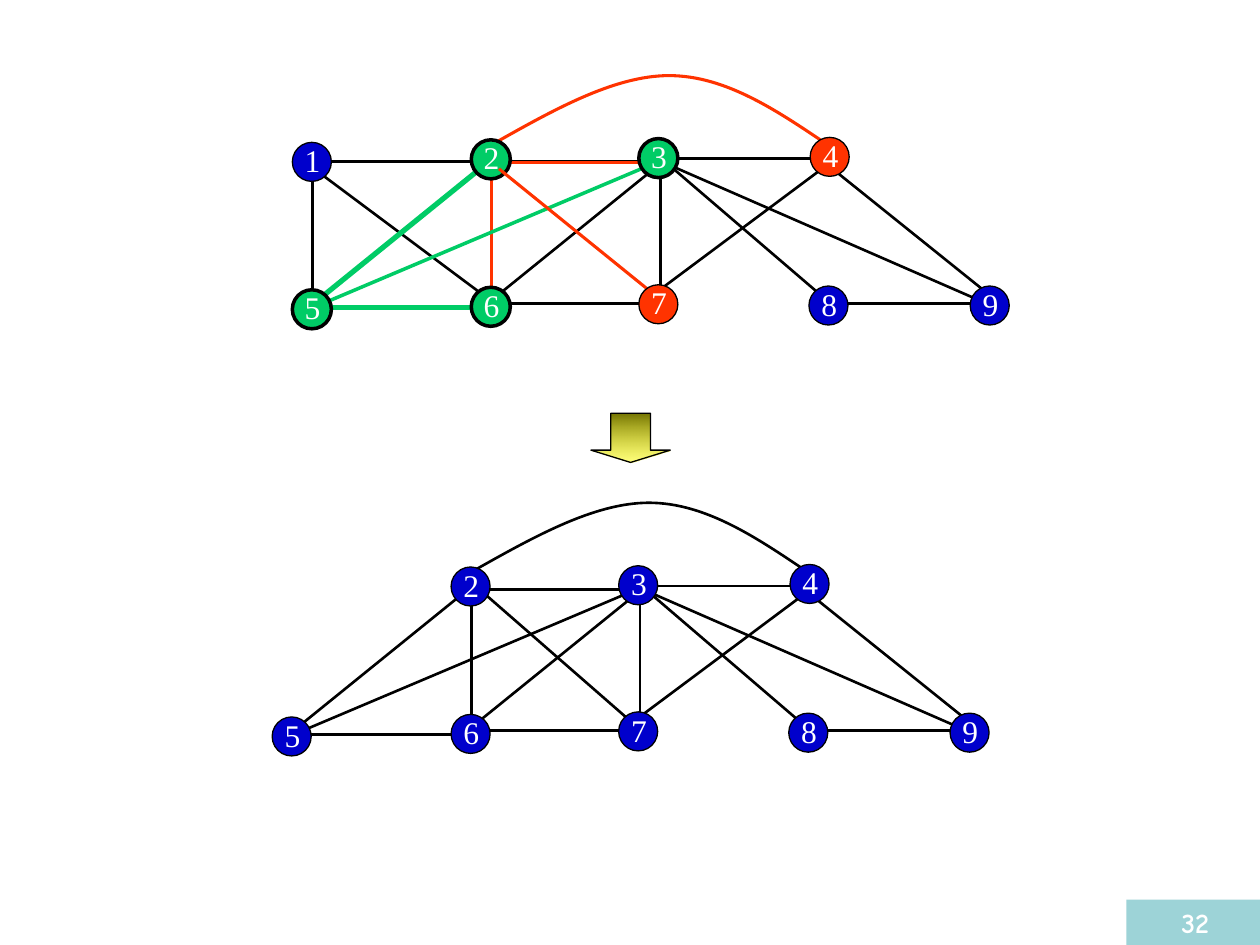
"""Draw a graph with marked nodes above the smaller graph that it leads to."""
from dataclasses import dataclass, replace

from lxml import etree
from pptx import Presentation
from pptx import util as u
from pptx.dml.color import RGBColor
from pptx.enum import shapes, text
from pptx.oxml.ns import qn

BLACK, WHITE, BLUE = "000000", "FFFFFF", "0000CC"
RED, GREEN = "FF3300", "00CC66"
SIZE = 0.31
SHIFT = (-0.16, 3.39)


@dataclass
class Node:
    name: str
    x: float
    y: float
    fill: str = BLUE
    width: float = 0.75
    label: float = 0.39


@dataclass
class Edge:
    start: tuple
    end: tuple
    hue: str = BLACK
    width: float = 1.5


SHARED_EDGES = [
    Edge((6.7, 2.41), (7.73, 2.41)),
    Edge((4, 2.41), (5.11, 2.41)),
    Edge((5.24, 1.31), (5.24, 2.33)),
    Edge((5.35, 1.26), (6.45, 1.26)),
    Edge((5.29, 1.3), (7.81, 2.4)),
    Edge((5.31, 1.31), (6.5, 2.33)),
    Edge((5.19, 1.34), (3.93, 2.36)),
    Edge((6.51, 1.35), (5.25, 2.29)),
    Edge((6.57, 1.31), (7.84, 2.33)),
    Edge((3.98, 1.29), (5.16, 1.29), RED, 1.75),
    Edge((3.9, 1.32), (3.9, 2.34), RED, 1.75),
    Edge((5.16, 1.31), (2.56, 2.41), GREEN, 2),
    Edge((3.81, 1.34), (2.55, 2.36), GREEN, 3),
    Edge((2.6, 2.44), (3.82, 2.44), GREEN, 3),
]
TOP_EDGES = [
    Edge((3.98, 1.28), (5.16, 1.28)),
    Edge((2.61, 1.28), (3.79, 1.28)),
    Edge((2.48, 1.39), (2.48, 2.33)),
    Edge((3.82, 2.33), (2.56, 1.39)),
]
TOP_LAST = Edge((3.96, 1.34), (5.22, 2.36), RED, 1.75)
LOW_FIRST = Edge((3.82, 4.69), (5, 5.72))
TOP_NODE = Node("1", 2.32, 1.13, label=SIZE)
SHARED_NODES = [
    Node("8", 6.42, 2.27),
    Node("9", 7.7, 2.27),
    Node("4", 6.43, 1.09, RED),
    Node("3", 5.07, 1.1, GREEN, 2, SIZE),
    Node("6", 3.74, 2.28, GREEN, 2),
    Node("5", 2.32, 2.3, GREEN, 2, SIZE),
    Node("2", 3.74, 1.11, GREEN, 2),
]
LAST_NODE = Node("7", 5.07, 2.26, RED, label=SIZE)
CURVE = [(3.9, 1.15), (4.38, 0.88), (4.87, 0.6), (5.31, 0.6),
         (5.76, 0.6), (6.17, 0.88), (6.57, 1.15)]


def paint(item, hue: str) -> None:
    """Give a fill, line or font color format its hex color."""
    item.rgb = RGBColor.from_string(hue)


def move(spot: tuple) -> tuple:
    """Shift a spot from the top graph to the lower one."""
    return spot[0] + SHIFT[0], spot[1] + SHIFT[1]


def write(frame, words: str, *, size: float, font: str, hue: str = WHITE,
          bold: bool = False, align=text.PP_ALIGN.LEFT) -> None:
    """Put formatted words in a text frame."""
    frame.word_wrap = True
    line = frame.paragraphs[0]
    line.alignment = align
    run = line.add_run()
    run.text = words
    run.font.size, run.font.name, run.font.bold = u.Pt(size), font, bold
    paint(run.font.color, hue)


def stroke(shape, hue: str, width: float) -> None:
    """Set the line of a shape or connector."""
    paint(shape.line.color, hue)
    shape.line.width = u.Pt(width)


def add_shape(slide, kind, left: float, top: float, wide: float, high: float):
    """Add a preset shape without a shadow."""
    shape = slide.shapes.add_shape(kind, *map(u.Inches, (left, top, wide, high)))
    shape.shadow.inherit = False
    return shape


def draw_edge(slide, edge: Edge) -> None:
    """Draw one straight edge."""
    link = slide.shapes.add_connector(
        shapes.MSO_CONNECTOR.STRAIGHT, *map(u.Inches, edge.start + edge.end))
    stroke(link, edge.hue, edge.width)
    etree.SubElement(link._element.spPr, qn("a:effectLst"))


def draw_node(slide, node: Node) -> None:
    """Draw a disc with its number on top."""
    disc = add_shape(slide, shapes.MSO_SHAPE.OVAL, node.x, node.y, SIZE, SIZE)
    disc.fill.solid()
    paint(disc.fill.fore_color, node.fill)
    stroke(disc, BLACK, node.width)
    box = slide.shapes.add_textbox(
        *map(u.Inches, (node.x, node.y - 0.06, node.label, 0.4)))
    write(box.text_frame, node.name, size=18, font="Times New Roman")
    box.text_frame.auto_size = text.MSO_AUTO_SIZE.SHAPE_TO_FIT_TEXT


def draw_curve(slide, spots: list, hue: str, width: float) -> None:
    """Draw a cubic curve through every third spot."""
    points = [tuple(map(u.Inches, spot)) for spot in spots]
    maker = slide.shapes.build_freeform(*points[0], scale=1.0)
    maker.add_line_segments(points[1:], close=False)
    curve = maker.convert_to_shape()
    curve.shadow.inherit = False
    curve.fill.background()
    stroke(curve, hue, width)
    track = next(curve._element.iter(qn("a:path")))
    steps = track.findall(qn("a:lnTo"))
    for first in range(0, len(steps), 3):
        bend = etree.SubElement(track, qn("a:cubicBezTo"))
        for step in steps[first:first + 3]:
            bend.append(step[0])
            track.remove(step)


def draw_arrow(slide) -> None:
    """Draw the shaded arrow between the graphs."""
    arrow = add_shape(slide, shapes.MSO_SHAPE.DOWN_ARROW, 4.69, 3.28, 0.63, 0.39)
    arrow.adjustments[0], arrow.adjustments[1] = 0.5, 0.25
    arrow.fill.gradient()
    arrow.fill.gradient_angle = 270
    for stop, hue in zip(arrow.fill.gradient_stops, ("757500", "FFFF00")):
        paint(stop.color, hue)
    last = list(arrow._element.spPr.iter(qn("a:srgbClr")))[-1]
    etree.SubElement(last, qn("a:alpha"), val="50000")
    stroke(arrow, BLACK, 0.75)


def draw_top(slide) -> None:
    """Draw the graph with its marked parts."""
    for edge in TOP_EDGES + SHARED_EDGES:
        draw_edge(slide, edge)
    draw_curve(slide, CURVE, RED, 1.75)
    for node in [TOP_NODE] + SHARED_NODES:
        draw_node(slide, node)
    draw_edge(slide, TOP_LAST)
    draw_node(slide, LAST_NODE)


def draw_low(slide) -> None:
    """Draw the plain graph left without node 1."""
    draw_edge(slide, LOW_FIRST)
    for edge in SHARED_EDGES:
        draw_edge(slide, Edge(move(edge.start), move(edge.end)))
    draw_curve(slide, [move(spot) for spot in CURVE], BLACK, 1.5)
    for node in SHARED_NODES + [LAST_NODE]:
        left, top = move((node.x, node.y))
        draw_node(slide, replace(node, x=left, y=top, fill=BLUE, width=0.75))


def main() -> None:
    """Build and save the slide."""
    deck = Presentation()
    deck.slide_width, deck.slide_height = u.Inches(10), u.Inches(7.5)
    slide = deck.slides.add_slide(deck.slide_layouts[6])
    draw_top(slide)
    draw_low(slide)
    draw_arrow(slide)
    badge = add_shape(slide, shapes.MSO_SHAPE.RECTANGLE, 8.94, 7.14, 1.09, 0.36)
    badge.fill.solid()
    paint(badge.fill.fore_color, "9DD3D7")
    badge.line.fill.background()
    write(badge.text_frame, "32", size=16, font="Comic Neue", bold=True,
          align=text.PP_ALIGN.CENTER)
    deck.save("out.pptx")


if __name__ == "__main__":
    main()
